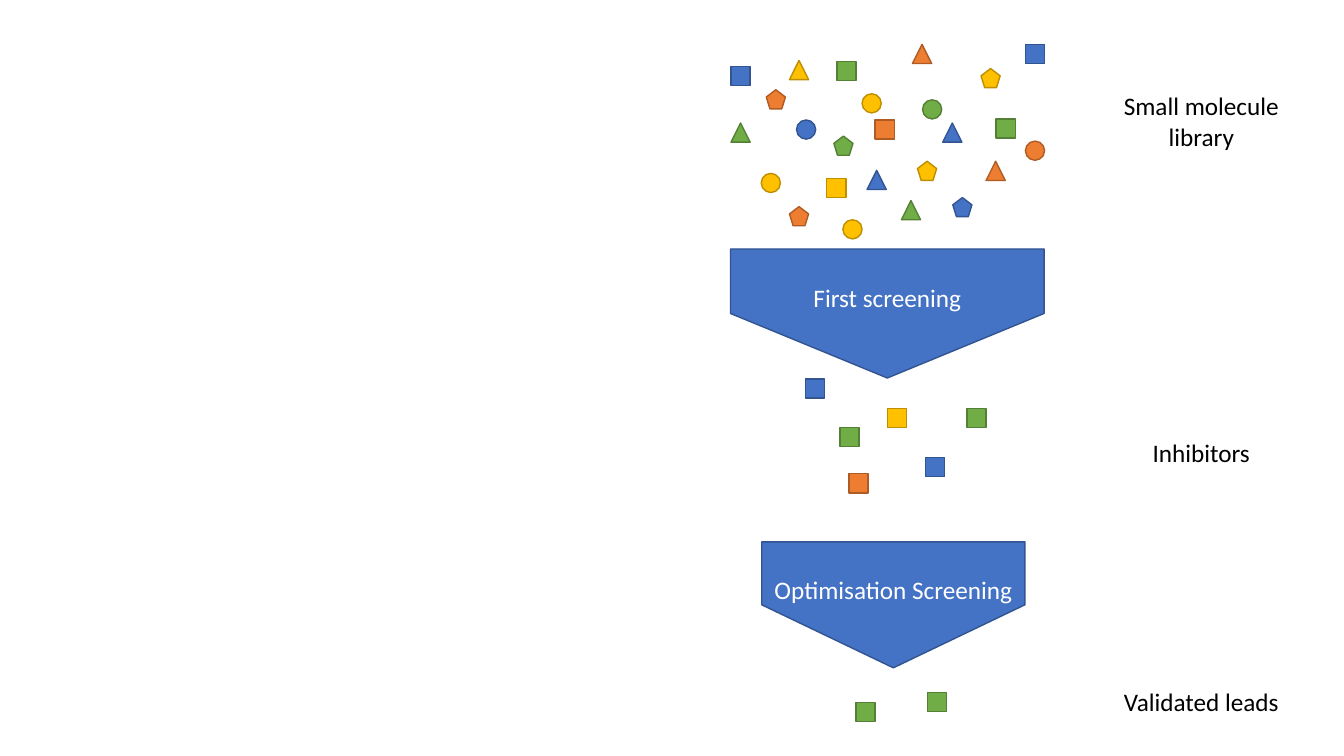
from dataclasses import dataclass

from pptx import Presentation
from pptx.dml.color import RGBColor
from pptx.enum.shapes import MSO_SHAPE as Shape
from pptx.enum.text import MSO_ANCHOR as Anchor, PP_ALIGN as Align
from pptx.util import Inches, Pt


@dataclass(frozen=True)
class Theme:
    font: str = "Calibri"
    size: float = 18
    line_width: float = 1
    light: str = "FFFFFF"
    dark: str = "000000"
    blue: tuple = ("4472C4", "325491")  # fill, outline
    green: tuple = ("70AD47", "538035")
    orange: tuple = ("ED7D31", "AF5C24")
    yellow: tuple = ("FFC000", "BD8E00")


THEME = Theme()
SLIDE_W, SLIDE_H = 13.33, 7.5
MOLECULE = 0.19
LABEL_LEFT, LABEL_W = 11, 1.83

# Molecules by form and colour: (left, top)
LIBRARY = {
    Shape.RECTANGLE: {
        "blue": [(7.25, 0.66), (10.17, 0.44)],
        "green": [(9.88, 1.18), (8.3, 0.61)],
        "orange": [(8.68, 1.19)],
        "yellow": [(8.2, 1.77)],
    },
    Shape.ISOSCELES_TRIANGLE: {
        "blue": [(9.35, 1.22), (8.6, 1.69)],
        "green": [(7.25, 1.22), (8.94, 1.99)],
        "orange": [(9.78, 1.6), (9.05, 0.44)],
        "yellow": [(7.83, 0.6)],
    },
    Shape.OVAL: {
        "blue": [(7.9, 1.19)],
        "green": [(9.15, 0.99)],
        "orange": [(10.17, 1.4)],
        "yellow": [(7.55, 1.72), (8.36, 2.18), (8.55, 0.93)],
    },
    Shape.REGULAR_PENTAGON: {
        "blue": [(9.45, 1.96)],
        "green": [(8.27, 1.35)],
        "orange": [(7.83, 2.05), (7.6, 0.89)],
        "yellow": [(9.1, 1.6), (9.73, 0.68)],
    },
}
INHIBITORS = {
    Shape.RECTANGLE: {
        "blue": [(7.99, 3.76), (9.18, 4.54)],
        "green": [(9.59, 4.05), (8.33, 4.24)],
        "orange": [(8.42, 4.7)],
        "yellow": [(8.8, 4.05)],
    },
}
LEADS = {Shape.RECTANGLE: {"green": [(9.2, 6.87), (8.49, 6.97)]}}

# Text, centre x, centre y, width, height as seen
FUNNELS = [
    ("First screening", 8.8, 3.11, 3.11, 1.28),
    ("Optimisation Screening", 8.86, 6, 2.61, 1.25),
]
# Text, top, height
LABELS = [
    ("Small molecule library", 0.85, 0.71),
    ("Inhibitors", 4.29, 0.4),
    ("Validated leads", 6.76, 0.4),
]


def write(tf, text, color, anchor=Anchor.TOP):
    tf.word_wrap = True
    tf.vertical_anchor = anchor
    p = tf.paragraphs[0]
    p.alignment = Align.CENTER
    r = p.add_run()
    r.text = text
    r.font.name = THEME.font
    r.font.size = Pt(THEME.size)
    r.font.color.rgb = RGBColor.from_string(color)


def add_form(s, form, box, colors):
    fill, outline = colors
    sp = s.shapes.add_shape(form, *map(Inches, box))
    sp.shadow.inherit = False
    sp.fill.solid()
    sp.fill.fore_color.rgb = RGBColor.from_string(fill)
    sp.line.color.rgb = RGBColor.from_string(outline)
    sp.line.width = Pt(THEME.line_width)
    return sp


def add_molecules(s, stage):
    for form, by_color in stage.items():
        for color, places in by_color.items():
            for left, top in places:
                add_form(s, form, (left, top, MOLECULE, MOLECULE), getattr(THEME, color))


def add_funnel(s, text, cx, cy, width, height):
    """Add an arrow block turned to point down, with its text kept level."""
    box = (cx - height / 2, cy - width / 2, height, width)
    sp = add_form(s, Shape.PENTAGON, box, THEME.blue)
    sp.rotation = 90
    write(sp.text_frame, text, THEME.light, anchor=Anchor.MIDDLE)
    sp.text_frame._txBody.bodyPr.set("vert", "vert270")


def main():
    prs = Presentation()
    prs.slide_width, prs.slide_height = Inches(SLIDE_W), Inches(SLIDE_H)
    s = prs.slides.add_slide(prs.slide_layouts[6])
    for funnel in FUNNELS:
        add_funnel(s, *funnel)
    for stage in (LIBRARY, INHIBITORS, LEADS):
        add_molecules(s, stage)
    for text, top, height in LABELS:
        box = s.shapes.add_textbox(*map(Inches, (LABEL_LEFT, top, LABEL_W, height)))
        write(box.text_frame, text, THEME.dark)
    prs.save("out.pptx")


if __name__ == "__main__":
    main()
